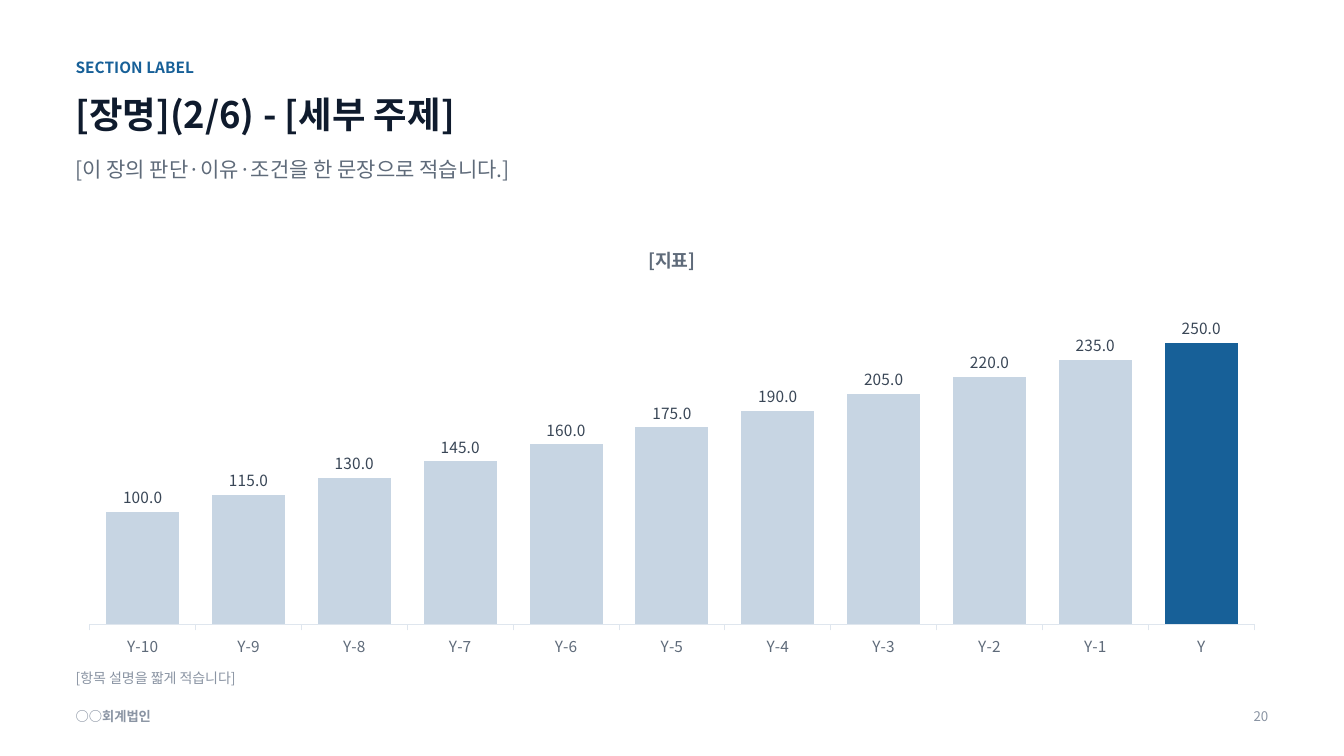
from lxml.etree import Element
from pptx import Presentation
from pptx.chart.data import CategoryChartData
from pptx.dml.color import RGBColor
from pptx.enum.chart import XL_CHART_TYPE, XL_LABEL_POSITION, XL_TICK_MARK
from pptx.enum.text import PP_ALIGN
from pptx.oxml.ns import qn
from pptx.util import Emu, Pt

FACE = "Noto Sans CJK KR"
BLUE = RGBColor(0x17, 0x60, 0x98)
NAVY = RGBColor(0x0F, 0x1B, 0x2D)
SLATE = RGBColor(0x5F, 0x6B, 0x7A)
GREY = RGBColor(0x8A, 0x94, 0xA3)
DARK = RGBColor(0x39, 0x46, 0x56)
PALE = RGBColor(0xC7, 0xD5, 0xE3)
RULE = RGBColor(0xDF, 0xE6, 0xEE)


def px(count):
    """Turn px, a hundred to the inch, into EMU."""
    return Emu(count * 9144)


def style(font, size, color, bold=False):
    """Set face, size, colour and weight of a font."""
    font.name = FACE
    font.size = Pt(size)
    font.color.rgb = color
    font.bold = bold


def set_asian(root):
    """Give East Asian text the same face as Latin text."""
    for latin in list(root.iter(qn("a:latin"))):
        latin.addnext(Element(qn("a:ea"), typeface=FACE))


def add_text(slide, area, text, size, color, bold=False, align=PP_ALIGN.LEFT):
    """Add one line of text without margins."""
    box = slide.shapes.add_textbox(*map(px, area))
    frame = box.text_frame
    frame.word_wrap = True
    frame.margin_left = frame.margin_right = 0
    frame.margin_top = frame.margin_bottom = 0
    frame.text = text
    line = frame.paragraphs[0]
    line.alignment = align
    line.line_spacing = 1.15
    style(line.runs[0].font, size, color, bold)
    set_asian(box.element)


def add_bars(slide, area, title, years, values):
    """Add a column chart with its last bar marked."""
    data = CategoryChartData()
    data.categories = years
    data.add_series(title, values)
    chart = slide.shapes.add_chart(
        XL_CHART_TYPE.COLUMN_CLUSTERED, *map(px, area), data).chart
    style(chart.font, 11, SLATE)
    chart.has_legend = False
    chart.has_title = True
    head = chart.chart_title.text_frame
    head.text = title
    style(head.paragraphs[0].runs[0].font, 13, SLATE, True)

    base = chart.category_axis
    base.major_tick_mark = XL_TICK_MARK.OUTSIDE
    base.format.line.color.rgb = RULE
    base.format.line.width = Pt(0.75)
    style(base.tick_labels.font, 11, SLATE)
    scale = chart.value_axis
    scale.visible = False
    scale.minimum_scale = 0
    scale.has_major_gridlines = False

    plot = chart.plots[0]
    plot.gap_width = 45
    plot.vary_by_categories = False
    bars = plot.series[0]
    last = bars.points[len(values) - 1]
    for part, color in ((bars, PALE), (last, BLUE)):
        part.format.fill.solid()
        part.format.fill.fore_color.rgb = color
    labels = bars.data_labels
    labels.show_value = True
    labels.position = XL_LABEL_POSITION.OUTSIDE_END
    labels.number_format = "#,##0.0"
    labels.number_format_is_linked = False
    style(labels.font, 11, DARK)
    set_asian(chart.element)


def main():
    """Build and save the slide."""
    deck = Presentation()
    deck.slide_width, deck.slide_height = px(1333), px(750)
    slide = deck.slides.add_slide(deck.slide_layouts[6])
    add_text(slide, (75, 55, 900, 25), "SECTION LABEL", 11, BLUE, True)
    add_text(slide, (75, 85, 1183, 60), "[장명](2/6) - [세부 주제]", 26, NAVY, True)
    add_text(slide, (75, 152, 1183, 63),
             "[이 장의 판단·이유·조건을 한 문장으로 적습니다.]", 15, SLATE)
    add_text(slide, (75, 700, 600, 22), "○○회계법인", 9.5, GREY, True)
    add_text(slide, (1158, 700, 100, 22), "20", 9.5, GREY, align=PP_ALIGN.RIGHT)
    years = [f"Y-{back}" for back in range(10, 0, -1)] + ["Y"]
    add_bars(slide, (65, 225, 1203, 435), "[지표]", years, range(100, 251, 15))
    add_text(slide, (75, 662, 1183, 25), "[항목 설명을 짧게 적습니다]", 10, GREY)
    deck.save("out.pptx")


if __name__ == "__main__":
    main()
